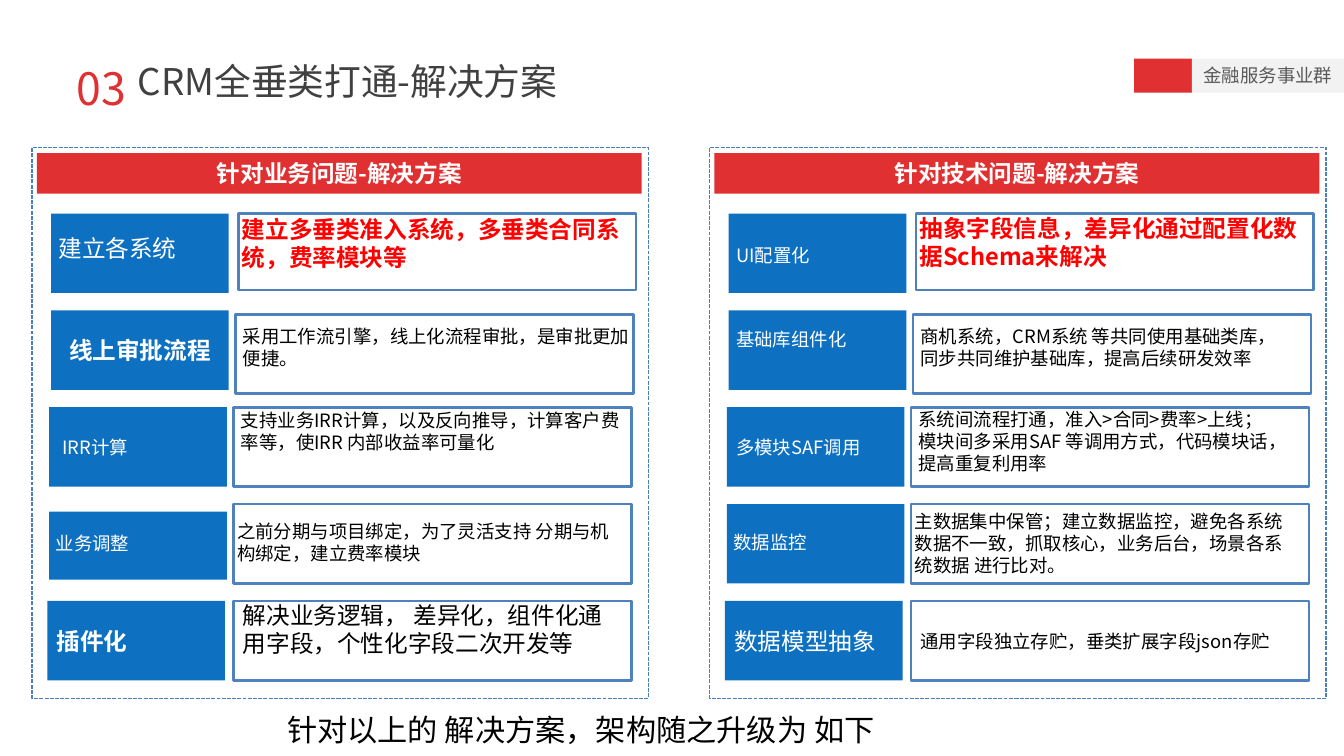
"""Build the slide that sets solutions to business problems beside solutions to technical ones."""
from lxml.etree import SubElement
from pptx import Presentation
from pptx.dml.color import RGBColor
from pptx.enum.dml import MSO_LINE
from pptx.enum.shapes import MSO_SHAPE
from pptx.enum.text import MSO_ANCHOR, MSO_AUTO_SIZE as FIT, PP_ALIGN
from pptx.oxml.ns import qn
from pptx.util import Inches, Pt

FONT = "Noto Sans CJK SC"
COLORS = {
    "red": "E03031", "alert": "FF0000", "blue": "0D70C0", "frame": "4F81BD",
    "border": "4B7EBC", "pale": "F2F2F2", "gray": "595959", "title": "404040",
    "white": "FFFFFF", "black": "000000",
}
BIG, BOLD = {"size": 18}, {"size": 18, "bold": True}
ALERT = {**BOLD, "color": "alert"}

PANELS = [
    ("针对业务问题-解决方案", [
        {"label": "建立各系统", "label_style": BIG, "label_drop": 0.17, "label_height": 0.4,
         "body": ["建立多垂类准入系统，多垂类合同系统，费率模块等"],
         "body_style": ALERT, "body_drop": -0.04, "body_height": 0.71},
        {"label": "线上审批流程", "label_style": {**BOLD, "align": "center"},
         "body": ["采用工作流引擎，线上化流程审批，是审批更加便捷。"],
         "body_drop": 0.11, "body_height": 0.65},
        {"label": " IRR计算",
         "body": ["支持业务IRR计算，以及反向推导，计算客户费率等，使IRR 内部收益率可量化"],
         "body_drop": -0.03, "body_height": 0.65},
        {"label": "业务调整", "label_drop": 0.25, "card_drop": 0.08, "card_height": 0.72,
         "body": ["之前分期与项目绑定，为了灵活支持 分期与机构绑定，建立费率模块"],
         "body_drop": 0.12, "body_height": 0.57},
        {"label": "插件化", "label_style": BOLD,
         "body": ["解决业务逻辑， 差异化，组件化通用字段，个性化字段二次开发等"],
         "body_style": {**BIG, "anchor": "top", "inset_top": 0}},
    ]),
    ("针对技术问题-解决方案", [
        {"label": "UI配置化", "label_drop": 0.27,
         "body": ["抽象字段信息，差异化通过配置化数据Schema来解决"],
         "body_style": ALERT, "body_drop": -0.05, "body_height": 1.01},
        {"label": "基础库组件化", "label_drop": 0.14,
         "body": ["商机系统，CRM系统 等共同使用基础类库，", "同步共同维护基础库，提高后续研发效率"],
         "body_drop": 0.11, "body_height": 0.57},
        {"label": "多模块SAF调用",
         "body": ["系统间流程打通，准入>合同>费率>上线；",
                  "模块间多采用SAF 等调用方式，代码模块话，提高重复利用率"],
         "body_drop": -0.04, "body_height": 0.81},
        {"label": "数据监控", "label_drop": 0.24,
         "body": ["主数据集中保管；建立数据监控，避免各系统数据不一致，抓取核心，业务后台，场景各系统数据 进行比对。"],
         "body_drop": 0.01, "body_height": 1.04},
        {"label": "数据模型抽象", "label_style": BIG,
         "body": ["通用字段独立存贮，垂类扩展字段json存贮"]},
    ]),
]

PANEL_LEFT, PANEL_TOP, PANEL_W, PANEL_H = 0.34, 1.56, 6.52, 5.83
PANEL_STEP = 7.17
ROW_TOP, ROW_LAST, CARD_H = 2.26, 6.36, 0.84
LABEL_LEFTS, LABEL_W = (0.54, 0.54, 0.52, 0.52, 0.5), 1.88
FRAME_LEFTS, FRAME_W = (2.52, 2.49, 2.47, 2.47, 2.47), 4.21
FRAME_DROPS, FRAME_HEIGHTS = (0, 0.04, 0, 0, 0), (0.81, 0.84, 0.84, 0.84, 0.84)
LABEL_TEXT_LEFTS = (0.52, 0.52, 0.52, 0.49, 0.49)
BODY_LEFTS, BODY_WIDTHS = (2.46, 2.47, 2.45, 2.41), (4.43, 4.32, 4.28, 4.28)
ALIGNS = {"left": PP_ALIGN.LEFT, "center": PP_ALIGN.CENTER}
ANCHORS = {"top": MSO_ANCHOR.TOP, "middle": MSO_ANCHOR.MIDDLE}


def rgb(name):
    return RGBColor.from_string(COLORS[name])


def put(slide, box, lines=(), *, fill=None, line=None, weight=2, dashed=False, size=14,
        color="black", bold=False, align="left", anchor="middle", wrap=True,
        spacing=None, inset_top=0.05):
    place = [Inches(length) for length in box]
    if fill or line:
        item = slide.shapes.add_shape(MSO_SHAPE.RECTANGLE, *place)
        item.shadow.inherit = False
        if fill:
            item.fill.solid()
            item.fill.fore_color.rgb = rgb(fill)
        else:
            item.fill.background()
        if line:
            item.line.color.rgb = rgb(line)
            item.line.width = Pt(weight)
            if dashed:
                item.line.dash_style = MSO_LINE.SQUARE_DOT
        else:
            item.line.fill.background()
    else:
        item = slide.shapes.add_textbox(*place)
        item.text_frame.auto_size = FIT.SHAPE_TO_FIT_TEXT
        anchor = "top"
    frame = item.text_frame
    frame.word_wrap = wrap
    frame.vertical_anchor = ANCHORS[anchor]
    frame.margin_top = Inches(inset_top)
    for index, words in enumerate(lines):
        paragraph = frame.add_paragraph() if index else frame.paragraphs[0]
        paragraph.alignment = ALIGNS[align]
        if spacing:
            paragraph.line_spacing = spacing
        run = paragraph.add_run()
        run.text = words
        run.font.size, run.font.bold, run.font.name = Pt(size), bold, FONT
        run.font.color.rgb = rgb(color)
        SubElement(run.font._element, qn("a:ea"), typeface=FONT)


def add_row(slide, row, index, shift):
    top = ROW_TOP + index * (ROW_LAST - ROW_TOP) / 4
    label_style = {"color": "white", **row.get("label_style", {})}
    body_style = row.get("body_style", {})
    card = (LABEL_LEFTS[index] + shift, top + row.get("card_drop", 0),
            LABEL_W, row.get("card_height", CARD_H))
    frame = (FRAME_LEFTS[index] + shift, top + FRAME_DROPS[index], FRAME_W, FRAME_HEIGHTS[index])
    if "label_drop" in row:
        put(slide, card, fill="blue")
        put(slide, (LABEL_TEXT_LEFTS[index] + shift, top + row["label_drop"], 1.82,
                    row.get("label_height", 0.34)), [row["label"]], **label_style)
    else:
        put(slide, card, [row["label"]], fill="blue", **label_style)
    if "body_drop" in row:
        put(slide, frame, line="frame")
        put(slide, (BODY_LEFTS[index] + shift, top + row["body_drop"], BODY_WIDTHS[index],
                    row["body_height"]), row["body"], **body_style)
    else:
        put(slide, frame, row["body"], line="frame", **body_style)


def main():
    deck = Presentation()
    deck.slide_width, deck.slide_height = Inches(14.22), Inches(8)
    slide = deck.slides.add_slide(deck.slide_layouts[6])
    put(slide, (12, 0.62, 0.61, 0.36), fill="red")
    put(slide, (12.61, 0.62, 1.61, 0.36), ["金融服务事业群"], fill="pale", color="gray",
        align="center", wrap=False)
    put(slide, (0.69, 0.03, 0.76, 1.15), ["03"], size=34, color="red", align="center",
        wrap=False, spacing=2.0)
    put(slide, (1.36, 0.11, 6.82, 0.96), ["CRM全垂类打通-解决方案"], size=28,
        color="title", wrap=False, spacing=2.0)
    for column, (heading, rows) in enumerate(PANELS):
        shift = column * PANEL_STEP
        left = PANEL_LEFT + shift
        for index, row in enumerate(rows):
            add_row(slide, row, index, shift)
        put(slide, (left, PANEL_TOP, PANEL_W, PANEL_H), line="border", weight=1, dashed=True)
        put(slide, (left + 0.05, PANEL_TOP + 0.06, 6.4, 0.43), [heading], fill="red",
            color="white", align="center", **BOLD)
    put(slide, (2.94, 7.48, 6.65, 0.49), ["针对以上的 解决方案，架构随之升级为 如下"], size=23, wrap=False)
    deck.save("out.pptx")


if __name__ == "__main__":
    main()
